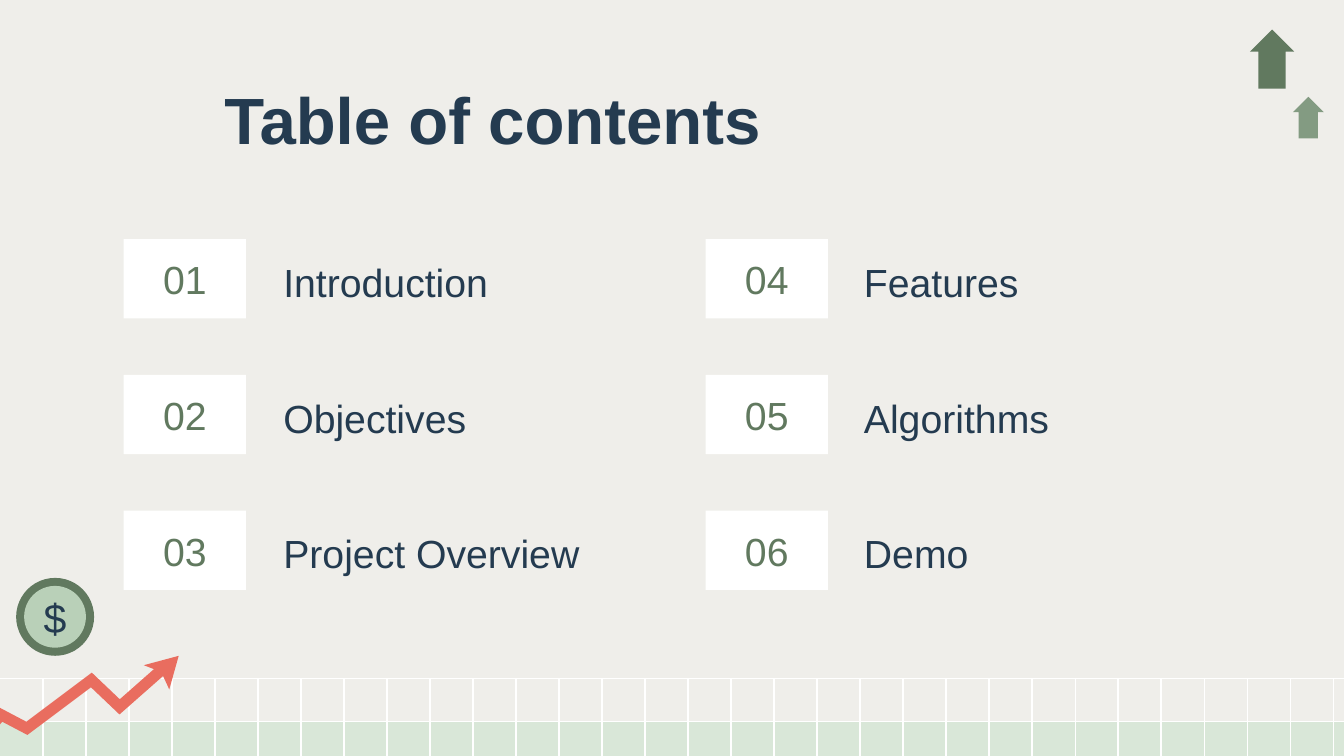
from dataclasses import dataclass
from typing import NamedTuple

from lxml.etree import SubElement
from pptx import Presentation
from pptx.dml.color import RGBColor
from pptx.enum.shapes import MSO_CONNECTOR as Connector, MSO_SHAPE as Preset
from pptx.enum.text import MSO_ANCHOR as Anchor, MSO_AUTO_SIZE as AutoSize, PP_ALIGN as Align
from pptx.oxml.ns import qn
from pptx.util import Inches, Pt


@dataclass(frozen=True)
class Theme:
    font: str = "Arial"
    paper: str = "EFEEEA"
    white: str = "FFFFFF"
    navy: str = "243B50"
    green: str = "61795F"
    sage: str = "839B82"
    mint: str = "B9D0B8"
    ground: str = "D9E7D8"
    coral: str = "E96D5F"
    title_size: int = 35
    coin_size: int = 22
    item_size: int = 21
    grid_width: float = 0.75
    trend_width: float = 6


class Box(NamedTuple):
    left: float
    top: float
    width: float
    height: float


class Entry(NamedTuple):
    label: str
    width: float


class Point(NamedTuple):
    x: float
    y: float


THEME = Theme()
WIDTH = 10
HEIGHT = WIDTH * 9 / 16
GRID_TOP, GROUND_TOP, GRID_STEP = 5.05, 5.37, 0.32
ROW_TOP, ROW_STEP, ROW_HEIGHT = 1.78, 1.01, 0.59
NUMBER_WIDTH = 0.91
NUMBER_LEFTS, LABEL_LEFTS = (0.92, 5.25), (2.01, 6.33)
COLUMNS = (
    (Entry("Introduction", 2.1), Entry("Objectives", 2.93), Entry("Project Overview", 3.12)),
    (Entry("Features", 2.1), Entry("Algorithms", 3.61), Entry("Demo", 2.1)),
)
TREND = (Point(-0.46, 5.8), Point(0.01, 5.32), Point(0.2, 5.42),
         Point(0.68, 5.06), Point(0.89, 5.26), Point(1.23, 4.96))
TREND_HEAD = (Point(1.33, 4.88), Point(1.07, 4.95), Point(1.2, 5), Point(1.26, 5.13))


def color(value: str) -> RGBColor:
    return RGBColor.from_string(value)


def inches(box: Box) -> list[int]:
    return [Inches(length) for length in box]


def paint(shape, fill: str) -> None:
    shape.shadow.inherit = False
    shape.fill.solid()
    shape.fill.fore_color.rgb = color(fill)
    shape.line.fill.background()


def add_preset(page, preset, box: Box, fill: str):
    shape = page.shapes.add_shape(preset, *inches(box))
    paint(shape, fill)
    return shape


def add_label(page, box: Box):
    return page.shapes.add_textbox(*inches(box))


def write(shape, text: str, size: float, ink: str, anchor, align=Align.LEFT,
          inset: float = 0.1, bold: bool = False) -> None:
    frame = shape.text_frame
    frame.text = text
    frame.word_wrap = True
    frame.auto_size = AutoSize.NONE
    frame.vertical_anchor = anchor
    frame.margin_left = frame.margin_right = Inches(inset)
    frame.margin_top = frame.margin_bottom = Inches(inset)
    para = frame.paragraphs[0]
    para.alignment = align
    font = para.runs[0].font
    font.name, font.size, font.bold = THEME.font, Pt(size), bold
    font.color.rgb = color(ink)


def add_grid_line(page, start: Point, end: Point) -> None:
    line = page.shapes.add_connector(
        Connector.STRAIGHT, *(Inches(length) for length in (*start, *end)))
    line.line.color.rgb = color(THEME.white)
    line.line.width = Pt(THEME.grid_width)
    SubElement(line._element.spPr, qn("a:effectLst"))


def add_outline(page, points: tuple[Point, ...], close: bool):
    start, *rest = [(Inches(point.x), Inches(point.y)) for point in points]
    builder = page.shapes.build_freeform(*start)
    builder.add_line_segments(rest, close=close)
    return builder.convert_to_shape()


def add_ground(page) -> None:
    add_preset(page, Preset.RECTANGLE,
               Box(0, GROUND_TOP, WIDTH, HEIGHT - GROUND_TOP), THEME.ground)
    for y in (GROUND_TOP, GRID_TOP):
        add_grid_line(page, Point(0, y), Point(WIDTH, y))
    for step in range(1, int(WIDTH / GRID_STEP) + 1):
        x = step * GRID_STEP
        add_grid_line(page, Point(x, GRID_TOP), Point(x, HEIGHT))


def add_trend(page) -> None:
    trend = add_outline(page, TREND, close=False)
    trend.shadow.inherit = False
    trend.fill.background()
    trend.line.color.rgb = color(THEME.coral)
    trend.line.width = Pt(THEME.trend_width)
    SubElement(trend.line._get_or_add_ln(), qn("a:miter"), lim="800000")
    paint(add_outline(page, TREND_HEAD, close=True), THEME.coral)


def add_coin(page) -> None:
    add_preset(page, Preset.OVAL, Box(0.12, 4.3, 0.58, 0.58), THEME.green)
    add_preset(page, Preset.OVAL, Box(0.18, 4.36, 0.46, 0.46), THEME.mint)
    sign = add_label(page, Box(0.28, 4.37, 0.26, 0.44))
    write(sign, "$", THEME.coin_size, THEME.navy, Anchor.MIDDLE, Align.CENTER, inset=0)


def add_up_arrow(page, box: Box, fill: str) -> None:
    arrow = add_preset(page, Preset.UP_ARROW, box, fill)
    arrow.adjustments[0] = 0.62
    arrow.adjustments[1] = 0.5


def add_title(page) -> None:
    title = page.shapes.title
    title.left, title.top, title.width, title.height = inches(Box(1.57, 0.49, 7.65, 0.63))
    write(title, "Table of contents", THEME.title_size, THEME.navy, Anchor.TOP, bold=True)


def add_contents(page) -> None:
    for column, entries in enumerate(COLUMNS):
        for row, entry in enumerate(entries):
            top = ROW_TOP + row * ROW_STEP
            number = add_preset(page, Preset.RECTANGLE,
                                Box(NUMBER_LEFTS[column], top, NUMBER_WIDTH, ROW_HEIGHT),
                                THEME.white)
            write(number, f"{column * len(entries) + row + 1:02}", THEME.item_size,
                  THEME.green, Anchor.MIDDLE, Align.CENTER)
            label = add_label(page, Box(LABEL_LEFTS[column], top, entry.width, ROW_HEIGHT))
            write(label, entry.label, THEME.item_size, THEME.navy, Anchor.BOTTOM)


def main() -> None:
    deck = Presentation()
    deck.slide_width, deck.slide_height = Inches(WIDTH), Inches(HEIGHT)
    page = deck.slides.add_slide(deck.slide_layouts.get_by_name("Title Only"))
    page.background.fill.solid()
    page.background.fill.fore_color.rgb = color(THEME.paper)
    add_ground(page)
    add_trend(page)
    add_coin(page)
    add_up_arrow(page, Box(9.3, 0.22, 0.33, 0.44), THEME.green)
    add_up_arrow(page, Box(9.62, 0.72, 0.23, 0.31), THEME.sage)
    add_title(page)
    add_contents(page)
    deck.save("out.pptx")


if __name__ == "__main__":
    main()
